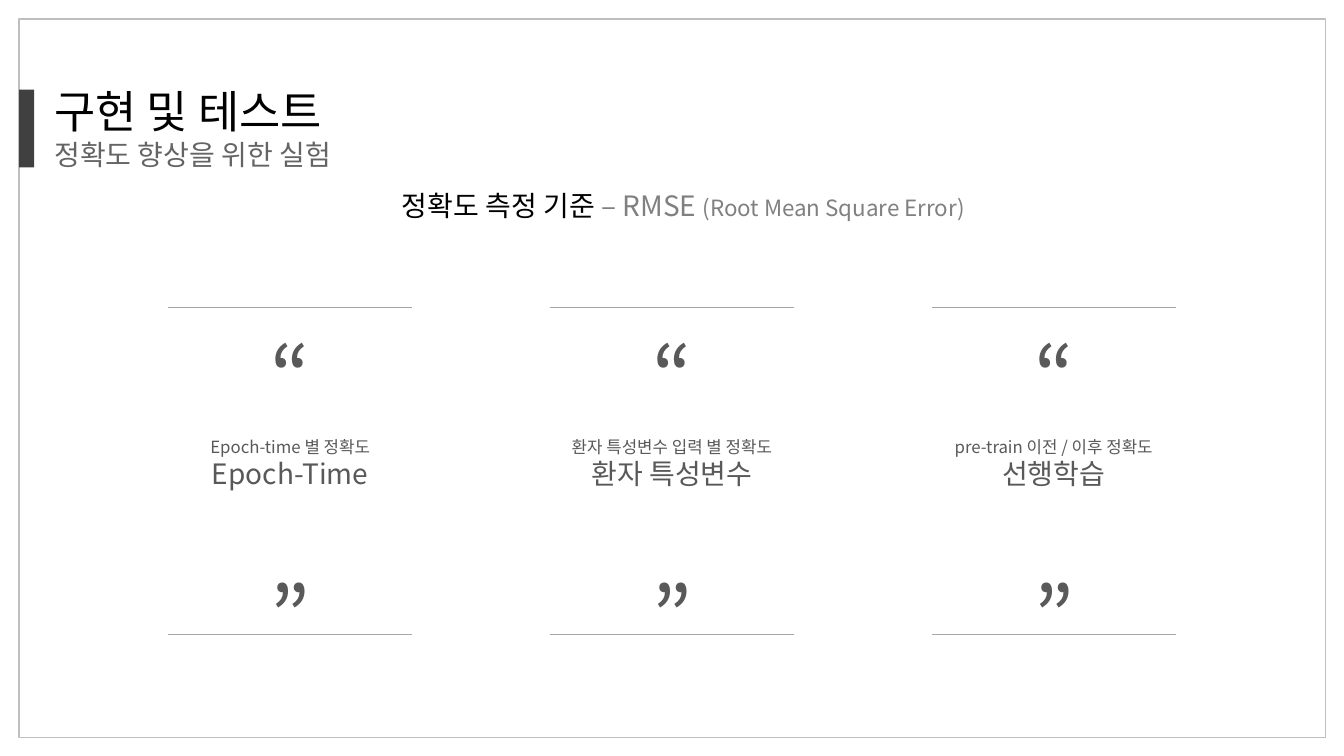
from lxml import etree
from pptx import Presentation, util as u
from pptx.dml.color import RGBColor
from pptx.enum import shapes, text
from pptx.oxml import ns

COLORS = {"ink": "000000", "bar": "404040", "body": "595959", "subtitle": "646464",
          "metric": "808080", "rule": "A6A6A6", "frame": "BFBFBF"}


class ExperimentSlide:
    """Holds the slide style and draws each kind of element, with lengths in centimetres."""

    font = "Noto Sans CJK KR"

    def __init__(self, slide):
        self.slide = slide

    def color(self, name):
        return RGBColor.from_string(COLORS[name])

    def rect(self, left, top, width, height, fill=None, line=None):
        panel = self.slide.shapes.add_shape(
            shapes.MSO_SHAPE.RECTANGLE, *map(u.Cm, (left, top, width, height)))
        panel.shadow.inherit = False
        if fill:
            panel.fill.solid()
            panel.fill.fore_color.rgb = self.color(fill)
        else:
            panel.fill.background()
        if line:
            panel.line.color.rgb = self.color(line)
            panel.line.width = u.Pt(1)
        else:
            panel.line.fill.background()

    def rule(self, left, y, width):
        rule = self.slide.shapes.add_connector(
            shapes.MSO_CONNECTOR.STRAIGHT, u.Cm(left), u.Cm(y), u.Cm(left + width), u.Cm(y))
        rule.line.color.rgb = self.color("rule")
        rule.line.width = u.Pt(0.75)
        etree.SubElement(rule._element.spPr, ns.qn("a:effectLst"))

    def outline(self, run, name, alpha):
        edge = etree.Element(ns.qn("a:ln"), w=str(u.Pt(0.75)))
        fill = etree.SubElement(edge, ns.qn("a:solidFill"))
        tint = etree.SubElement(fill, ns.qn("a:srgbClr"), val=COLORS[name])
        etree.SubElement(tint, ns.qn("a:alpha"), val=str(alpha * 1000))
        run.font._element.insert(0, edge)

    def words(self, left, top, width, height, lines, align=text.PP_ALIGN.CENTER, grow=True):
        box = self.slide.shapes.add_textbox(*map(u.Cm, (left, top, width, height)))
        frame = box.text_frame
        frame.word_wrap = True
        frame.auto_size = (text.MSO_AUTO_SIZE.SHAPE_TO_FIT_TEXT if grow
                           else text.MSO_AUTO_SIZE.NONE)
        for index, line in enumerate(lines):
            paragraph = frame.add_paragraph() if index else frame.paragraphs[0]
            paragraph.alignment = align
            for wording, size, name, edge in line:
                run = paragraph.add_run()
                run.text = wording
                for key, value in {"name": self.font, "size": u.Pt(size)}.items():
                    setattr(run.font, key, value)
                run.font.color.rgb = self.color(name)
                east_asian = etree.Element(ns.qn("a:ea"), typeface=self.font)
                run.font._element.find(ns.qn("a:latin")).addnext(east_asian)
                if edge:
                    self.outline(run, *edge)

    def quote(self, left, caption, topic):
        edge = ("body", 30)
        for mark, top in (("“", 8.05), ("”", 14.1)):
            self.words(left + 2.34, top, 1.47, 1.57, [[(mark, 60, "body", edge)]], grow=False)
        for y in (7.75, 16):
            self.rule(left, y, 6.15)
        self.words(left - 0.25, 10.87, 6.65, 1.63,
                   [[(caption, 12, "body", edge)], [(topic, 20, "body", edge)]])


def main():
    deck = Presentation()
    deck.slide_width, deck.slide_height = u.Cm(33.87), u.Cm(19.05)
    page = ExperimentSlide(deck.slides.add_slide(deck.slide_layouts[6]))
    ink_edge = ("ink", 50)

    page.rect(0.48, 0.48, 32.92, 18.11, line="frame")
    page.rect(0.48, 2.26, 0.38, 1.96, fill="bar")
    page.words(1.12, 1.98, 16.33, 2.49,
               [[("구현 및 테스트", 32, "ink", ink_edge)],
                [("정확도 향상을 위한 실험", 20, "subtitle", ink_edge)]],
               align=text.PP_ALIGN.LEFT)

    experiments = [("Epoch-time 별 정확도", "Epoch-Time"),
                   ("환자 특성변수 입력 별 정확도", "환자 특성변수"),
                   ("pre-train 이전 / 이후 정확도", "선행학습")]
    for column, (caption, topic) in enumerate(experiments):
        page.quote(4.24 + column * 9.62, caption, topic)

    page.words(7.39, 4.62, 19.66, 1.12,
               [[("정확도 측정 기준 ", 20, "ink", None),
                 ("– RMSE ", 20, "metric", ink_edge),
                 ("(Root Mean Square Error)", 16, "metric", ink_edge)]])
    deck.save("out.pptx")


if __name__ == "__main__":
    main()
